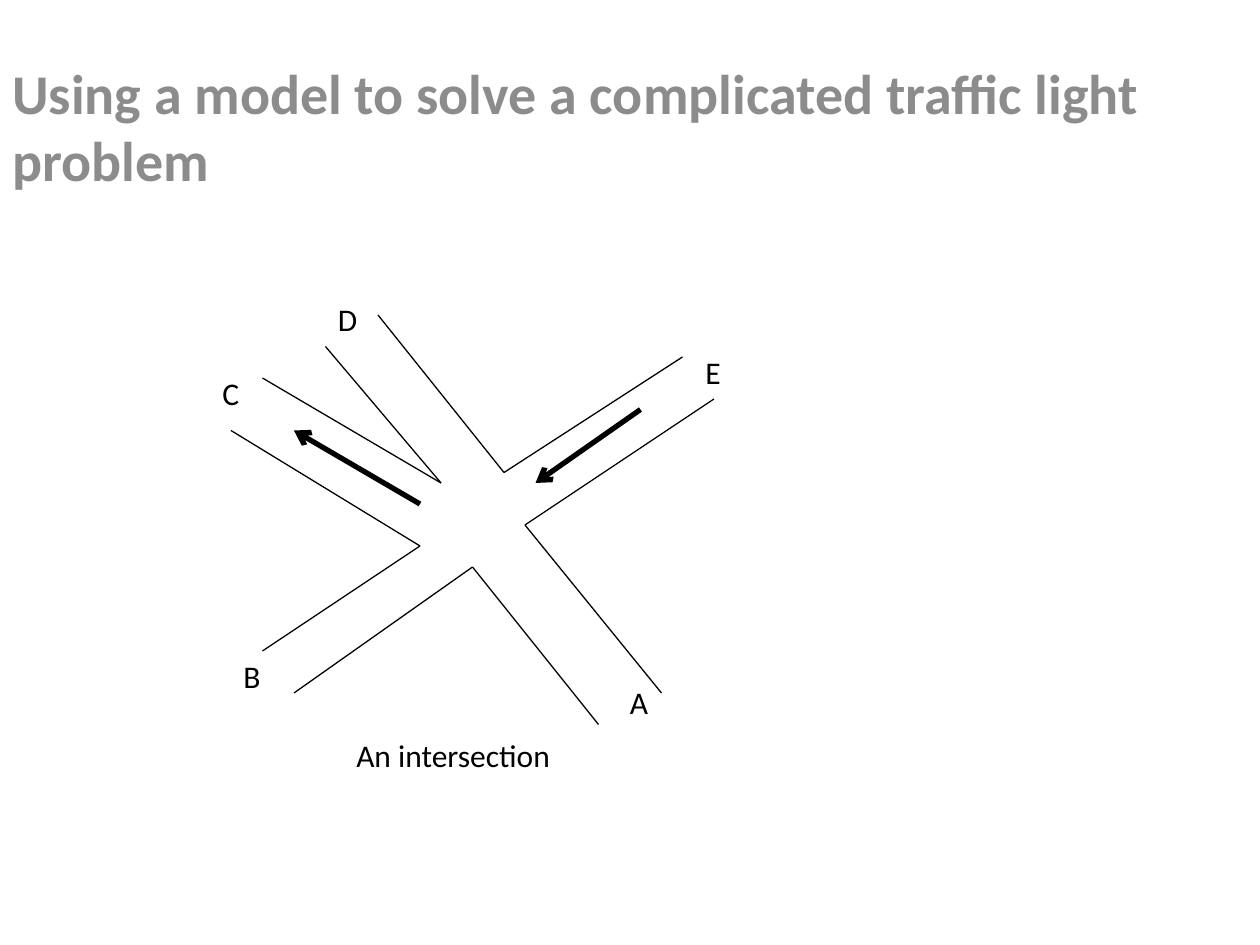
from itertools import pairwise
from typing import NamedTuple

from lxml.etree import SubElement
from pptx import Presentation
from pptx.dml.color import RGBColor
from pptx.enum.text import MSO_AUTO_SIZE
from pptx.oxml.ns import qn
from pptx.util import Inches, Pt

CELLS_PER_INCH = 12  # the drawing sits on a grid of 120 columns by 90 rows
BLACK = "000000"
GREY = "8C8C8C"


class Point(NamedTuple):
    column: float
    row: float


class Label(NamedTuple):
    text: str
    corner: Point
    columns: float = 4.5


# Each kerb runs from one road, round the corner, into the next
KERBS = [
    (Point(31, 33), Point(42, 46), Point(25, 36)),  # D to C
    (Point(22, 41), Point(40, 52), Point(25, 62)),  # C to B
    (Point(28, 66), Point(45, 54), Point(57, 69)),  # B to A
    (Point(36, 30), Point(48, 45), Point(65, 34)),  # D to E
    (Point(68, 38), Point(50, 50), Point(63, 66)),  # E to A
]

# One-way directions: out along C, in along E
ONE_WAY_ARROWS = [
    (Point(40, 48), Point(28, 41)),
    (Point(61, 39), Point(51, 46)),
]

LABELS = [
    Label("A", Point(58.8, 64.5)),
    Label("B", Point(22, 62)),
    Label("C", Point(20, 35)),
    Label("D", Point(31, 28)),
    Label("E", Point(66, 33)),
    Label("An intersection", Point(32.75, 69.5), 22.2),
]


def cells(count: float) -> int:
    return Inches(count / CELLS_PER_INCH)


def color(value: str) -> RGBColor:
    return RGBColor.from_string(value)


def add_line(slide, start: Point, end: Point, width: float = 0.75, arrow: bool = False):
    connector = slide.shapes.add_connector(
        1, cells(start.column), cells(start.row), cells(end.column), cells(end.row)
    )
    connector.line.color.rgb = color(BLACK)
    connector.line.width = Pt(width)
    properties = connector._element.spPr
    if arrow:
        SubElement(properties.find(qn("a:ln")), qn("a:tailEnd"), type="arrow")
    SubElement(properties, qn("a:effectLst"))


def add_text(slide, label: Label, rows: float, size: float, value: str,
             bold: bool = False, wrap: bool = False):
    shape = slide.shapes.add_textbox(
        cells(label.corner.column), cells(label.corner.row),
        cells(label.columns), cells(rows)
    )
    frame = shape.text_frame
    frame.word_wrap = wrap
    frame.auto_size = MSO_AUTO_SIZE.NONE if wrap else MSO_AUTO_SIZE.SHAPE_TO_FIT_TEXT
    paragraph = frame.paragraphs[0]
    paragraph.text = label.text
    paragraph.font.name = "Calibri"
    paragraph.font.size = Pt(size)
    paragraph.font.bold = bold
    paragraph.font.color.rgb = color(value)


def main():
    presentation = Presentation()
    presentation.slide_width = Inches(10)
    presentation.slide_height = Inches(7.5)
    slide = presentation.slides.add_slide(presentation.slide_layouts[6])

    # Heading across the full width
    heading = Label("Using a model to solve a complicated traffic light problem",
                    Point(0, 5), 120)
    add_text(slide, heading, 19, 32, GREY, bold=True, wrap=True)

    # Road edges
    for kerb in KERBS:
        for start, end in pairwise(kerb):
            add_line(slide, start, end)

    # One-way arrows
    for start, end in ONE_WAY_ARROWS:
        add_line(slide, start, end, width=3, arrow=True)

    # Road names and caption
    for label in LABELS:
        add_text(slide, label, 4.8, 18, BLACK)

    presentation.save("out.pptx")


if __name__ == "__main__":
    main()
